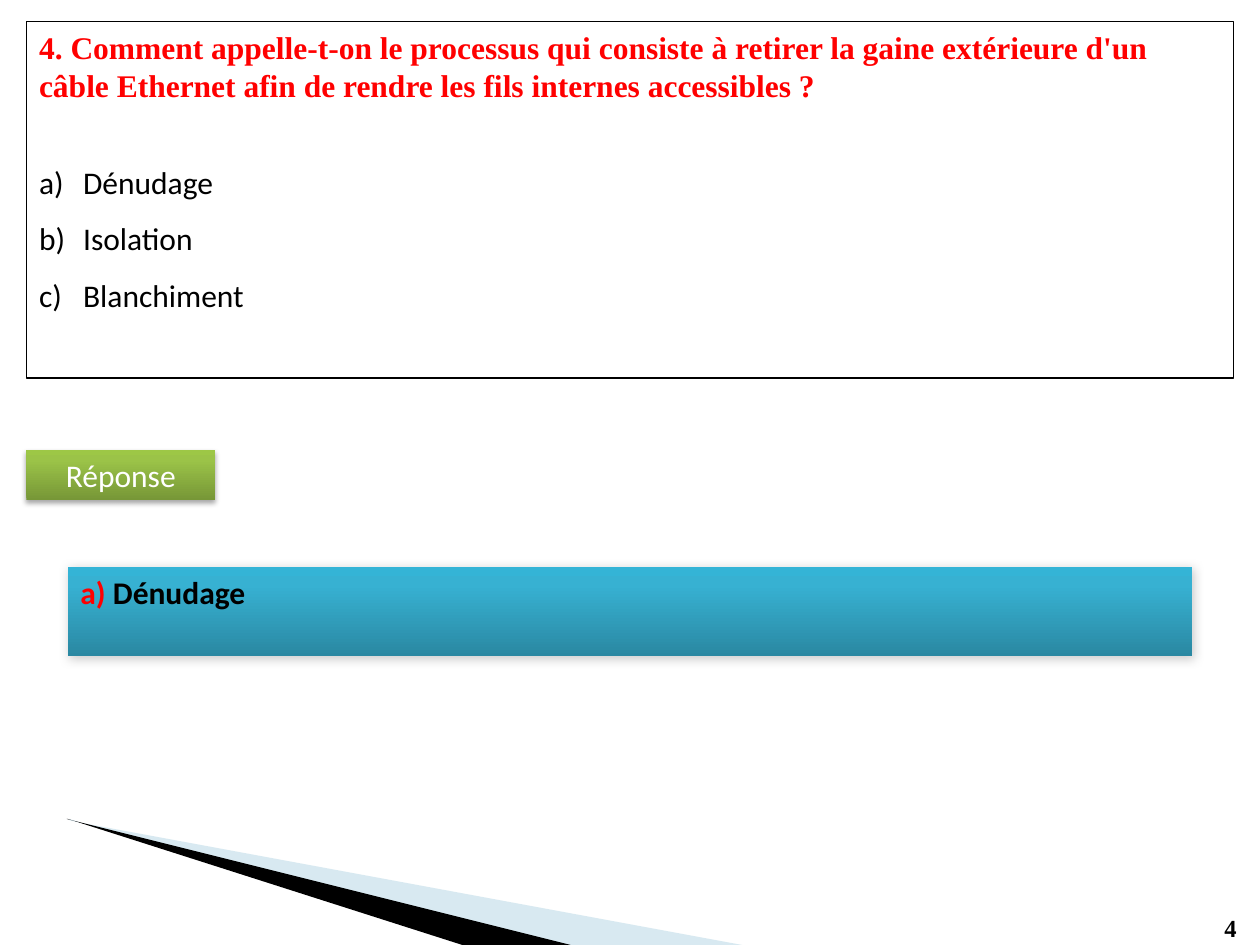
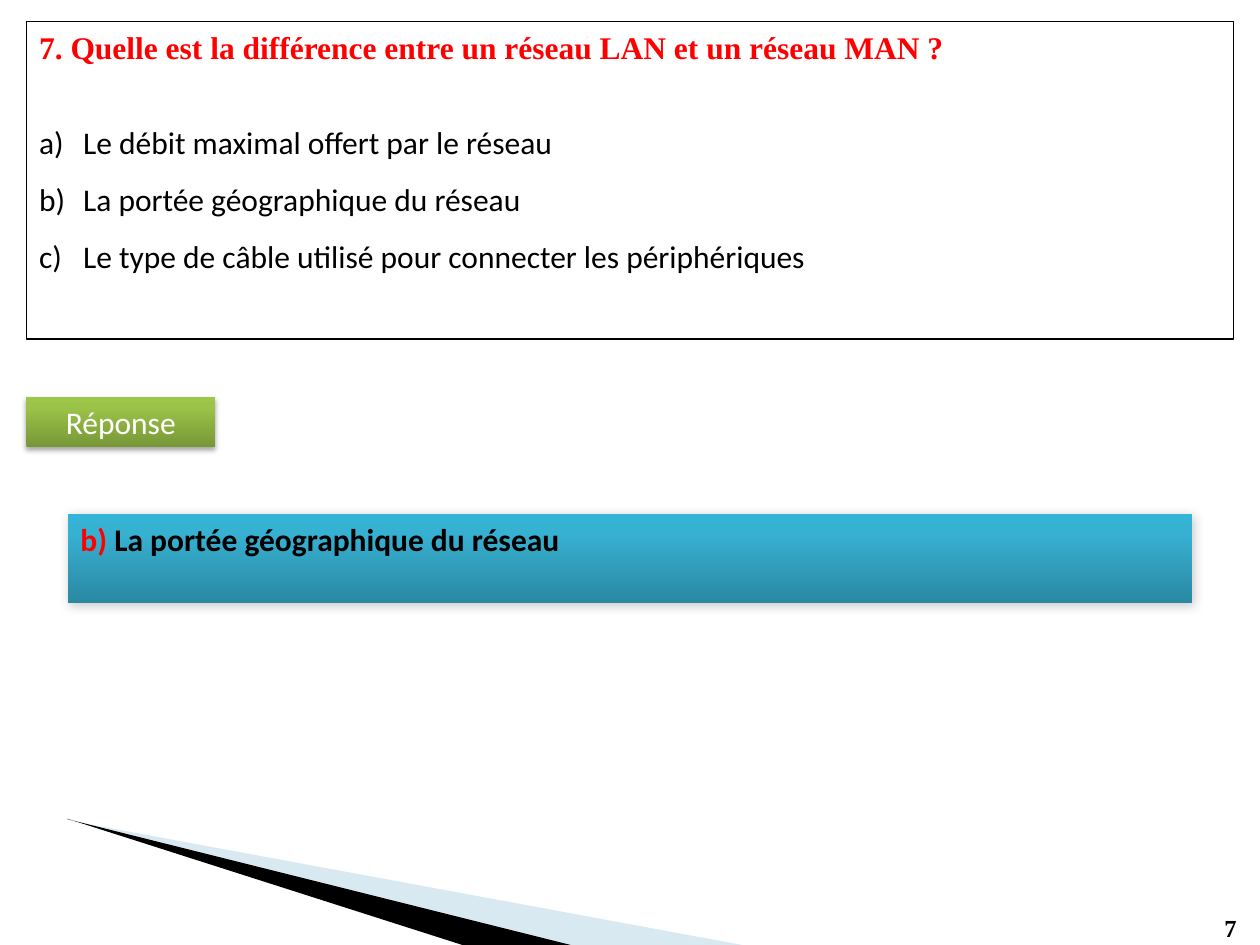
"""Build two quiz slides, each with a question, its choices and the answer."""
from dataclasses import dataclass
from typing import Any

from lxml.etree import SubElement
from pptx import Presentation
from pptx.dml.color import RGBColor
from pptx.enum.shapes import MSO_SHAPE
from pptx.enum.text import MSO_ANCHOR, MSO_AUTO_SIZE, PP_ALIGN
from pptx.oxml.ns import qn
from pptx.util import Inches, Pt


@dataclass(frozen=True)
class Theme:
    """Colours, fonts and type sizes."""
    ink: str = "000000"
    accent: str = "FF0000"
    light: str = "FFFFFF"
    pale_wedge: str = "9FCADC"
    green: tuple = ((0, "779737"), (80, "9BC348"), (100, "9DC746"))
    blue: tuple = ((0, "2A88A2"), (80, "37B1D2"), (100, "34B4D6"))
    serif: str = "Times New Roman"
    sans: str = "Calibri"
    text_size: int = 18
    number_size: int = 14


@dataclass(frozen=True)
class Shadow:
    """Outer shadow with lengths in points and direction in degrees."""
    opacity: int
    blur: float
    distance: float
    direction: int


@dataclass(frozen=True)
class Band:
    """Gradient rectangle that carries one line of text."""
    left: float
    width: float
    height: float
    stops: tuple
    shadow: Shadow
    alignment: PP_ALIGN


@dataclass(frozen=True)
class Wedge:
    """Corner decoration made of closed contours."""
    contours: tuple
    colour: str
    opacity: int


@dataclass(frozen=True)
class Question:
    """Content of one quiz slide."""
    number: int
    wording: str
    choices: tuple
    correct: int
    frame_height: float
    label_top: float


THEME = Theme()
FRAME_LEFT, FRAME_TOP, FRAME_WIDTH = 0.21, 0.17, 9.58
QUESTION_HEIGHT = 0.7
CHOICE_INDENT = 0.35
ANSWER_OFFSET = 0.93

LABEL = Band(FRAME_LEFT, 1.5, 0.4, THEME.green, Shadow(35, 3.1, 1.8, 90), PP_ALIGN.CENTER)
ANSWER = Band(0.54, 8.92, 0.71, THEME.blue, Shadow(20, 6, 1, 45), PP_ALIGN.JUSTIFY)

WEDGES = (
    Wedge((((0.64, 6.53), (4.51, 7.5), (5.89, 7.5)),
           ((0.55, 6.5), (0.55, 6.51), (0.64, 6.53))), THEME.pale_wedge, 40),
    Wedge((((0.53, 6.5), (0.54, 6.5), (3.67, 7.5), (4.53, 7.5)),), THEME.ink, 100),
)

QUESTIONS = (
    Question(4, "Comment appelle-t-on le processus qui consiste à retirer la gaine extérieure "
                "d'un câble Ethernet afin de rendre les fils internes accessibles ?",
             ("Dénudage", "Isolation", "Blanchiment"), 0, 2.83, 3.57),
    Question(7, "Quelle est la différence entre un réseau LAN et un réseau MAN ?",
             ("Le débit maximal offert par le réseau",
              "La portée géographique du réseau",
              "Le type de câble utilisé pour connecter les périphériques"), 1, 2.52, 3.15),
)


def apply(target: Any, values: dict) -> None:
    """Set every attribute named in the format values."""
    for attribute, value in values.items():
        setattr(target, attribute, value)


def place(shape: Any, left: float, top: float, width: float, height: float) -> None:
    """Move and size a shape, in inches."""
    apply(shape, {"left": Inches(left), "top": Inches(top),
                  "width": Inches(width), "height": Inches(height)})


def set_frame(shape: Any, anchor: MSO_ANCHOR = MSO_ANCHOR.TOP, bottom: float = 0.05) -> None:
    """Give a text frame its wrapping, anchor and margins."""
    apply(shape.text_frame, {
        "word_wrap": True, "auto_size": MSO_AUTO_SIZE.NONE, "vertical_anchor": anchor,
        "margin_left": Inches(0.1), "margin_right": Inches(0.1),
        "margin_top": Inches(0.05), "margin_bottom": Inches(bottom)})


def write(paragraph: Any, text: str, colour: str, font: str = THEME.sans,
          size: int = THEME.text_size, bold: bool = False) -> None:
    """Add a formatted run to a paragraph."""
    run = paragraph.add_run()
    run.text = text
    apply(run.font, {"name": font, "size": Pt(size), "bold": bold})
    run.font.color.rgb = RGBColor.from_string(colour)


def add_colour(parent: Any, colour: str, opacity: int = 100) -> None:
    """Append a colour element with its opacity."""
    node = SubElement(parent, qn("a:srgbClr"), val=colour)
    if opacity < 100:
        SubElement(node, qn("a:alpha"), val=str(opacity * 1000))


def add_wedges(slide: Any, master: Any) -> None:
    """Draw the corner wedges and hand them to the slide master."""
    for index, wedge in enumerate(WEDGES):
        first, *others = wedge.contours
        builder = slide.shapes.build_freeform(Inches(first[0][0]), Inches(first[0][1]))
        builder.add_line_segments([(Inches(x), Inches(y)) for x, y in first[1:]])
        for start, *rest in others:
            builder.move_to(Inches(start[0]), Inches(start[1]))
            builder.add_line_segments([(Inches(x), Inches(y)) for x, y in rest])
        shape = builder.convert_to_shape()
        shape.shadow.inherit = False
        shape.line.fill.background()
        shape.fill.solid()
        solid = shape.element.spPr.find(qn("a:solidFill"))
        add_colour(solid, wedge.colour, wedge.opacity)
        shape.element.nvSpPr.cNvPr.set("id", str(100 + index))
        master.shapes.element.append(shape.element)


def add_band(slide: Any, band: Band, top: float) -> Any:
    """Draw a gradient band and return its paragraph."""
    shape = slide.shapes.add_shape(MSO_SHAPE.RECTANGLE, Inches(band.left), Inches(top),
                                   Inches(band.width), Inches(band.height))
    shape.line.fill.background()
    shape.shadow.inherit = False
    properties = shape.element.spPr
    shape.fill.gradient()
    gradient = properties.find(qn("a:gradFill"))
    stops = gradient.find(qn("a:gsLst"))
    for old_stop in list(stops):
        stops.remove(old_stop)
    for position, colour in band.stops:
        add_colour(SubElement(stops, qn("a:gs"), pos=str(position * 1000)), colour)
    gradient.find(qn("a:lin")).set("ang", str(270 * 60000))
    shadow = band.shadow
    outer = SubElement(properties.find(qn("a:effectLst")), qn("a:outerShdw"),
                       blurRad=str(Pt(shadow.blur)), dist=str(Pt(shadow.distance)),
                       dir=str(shadow.direction * 60000), rotWithShape="0")
    add_colour(outer, THEME.ink, shadow.opacity)
    set_frame(shape)
    paragraph = shape.text_frame.paragraphs[0]
    paragraph.alignment = band.alignment
    return paragraph


def add_question(slide: Any, question: Question) -> None:
    """Fill the title with the question."""
    title = slide.shapes.title
    place(title, FRAME_LEFT, FRAME_TOP, FRAME_WIDTH, QUESTION_HEIGHT)
    set_frame(title)
    paragraph = title.text_frame.paragraphs[0]
    paragraph.alignment = PP_ALIGN.LEFT
    write(paragraph, f"{question.number}. {question.wording}", THEME.accent,
          THEME.serif, bold=True)


def add_choices(slide: Any, question: Question) -> None:
    """Fill the framed body with the lettered choices."""
    body = slide.placeholders[1]
    place(body, FRAME_LEFT, FRAME_TOP, FRAME_WIDTH, question.frame_height)
    set_frame(body, MSO_ANCHOR.BOTTOM, 0.51)
    body.line.color.rgb = RGBColor.from_string(THEME.ink)
    body.line.width = Pt(0.75)
    for index, choice in enumerate(question.choices):
        paragraph = (body.text_frame.add_paragraph() if index
                     else body.text_frame.paragraphs[0])
        apply(paragraph, {"line_spacing": 1.5, "space_before": Pt(0)})
        properties = paragraph._p.get_or_add_pPr()
        properties.set("marL", str(Inches(CHOICE_INDENT)))
        properties.set("indent", str(-Inches(CHOICE_INDENT)))
        SubElement(properties, qn("a:buFont"), typeface="+mj-lt")
        SubElement(properties, qn("a:buAutoNum"), type="alphaLcParenR")
        write(paragraph, choice, THEME.ink)


def add_answer(slide: Any, question: Question) -> None:
    """Draw the answer label and the correct choice."""
    write(add_band(slide, LABEL, question.label_top), "Réponse", THEME.light)
    answer = add_band(slide, ANSWER, question.label_top + ANSWER_OFFSET)
    write(answer, f"{'abc'[question.correct]}) ", THEME.accent, bold=True)
    write(answer, question.choices[question.correct], THEME.ink, bold=True)


def add_number(slide: Any, number: int) -> None:
    """Write the question number in the lower right corner."""
    corner = slide.shapes.add_textbox(Inches(9.62), Inches(7.2), Inches(0.36), Inches(0.34))
    set_frame(corner)
    write(corner.text_frame.paragraphs[0], str(number), THEME.ink, THEME.serif,
          THEME.number_size, True)


def main() -> None:
    """Build and save the presentation."""
    deck = Presentation()
    apply(deck, {"slide_width": Inches(10), "slide_height": Inches(7.5)})
    for index, question in enumerate(QUESTIONS):
        slide = deck.slides.add_slide(deck.slide_layouts[1])
        if index == 0:
            add_wedges(slide, deck.slide_master)
        add_number(slide, question.number)
        add_question(slide, question)
        add_choices(slide, question)
        add_answer(slide, question)
    deck.save("out.pptx")


if __name__ == "__main__":
    main()
